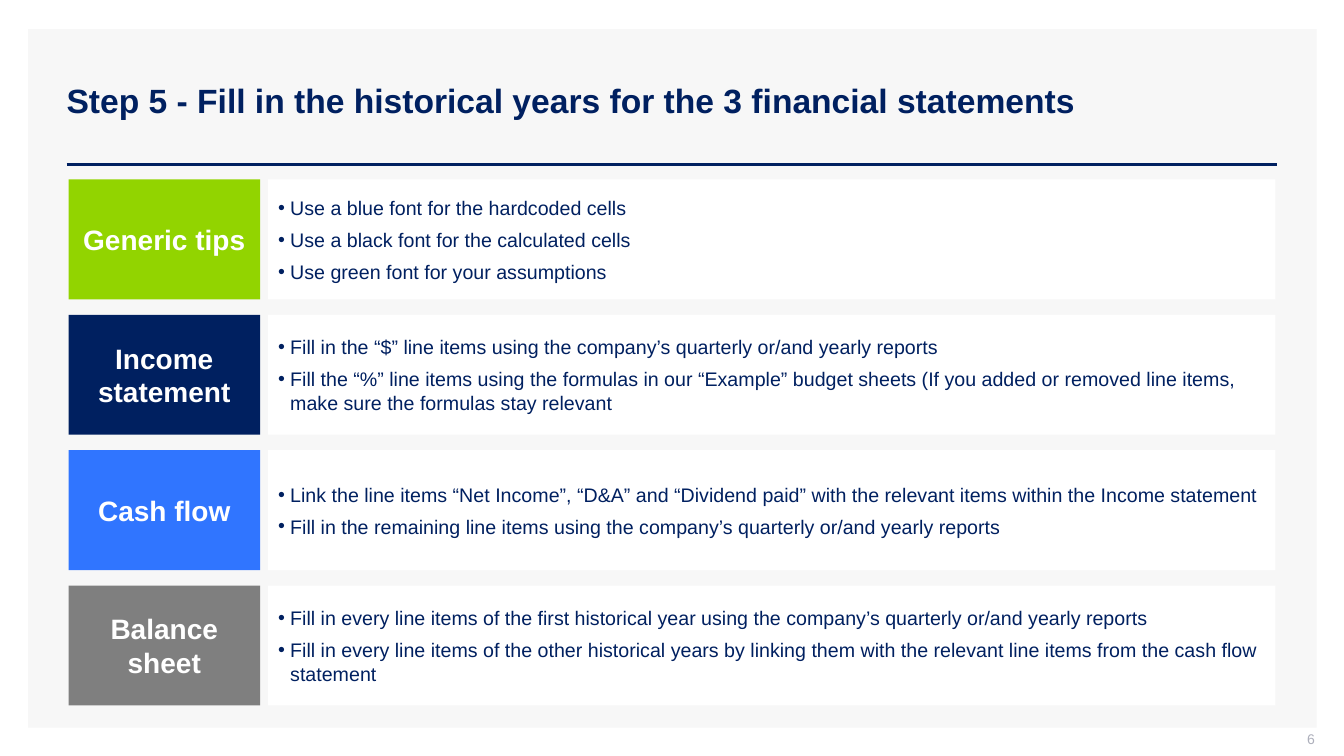
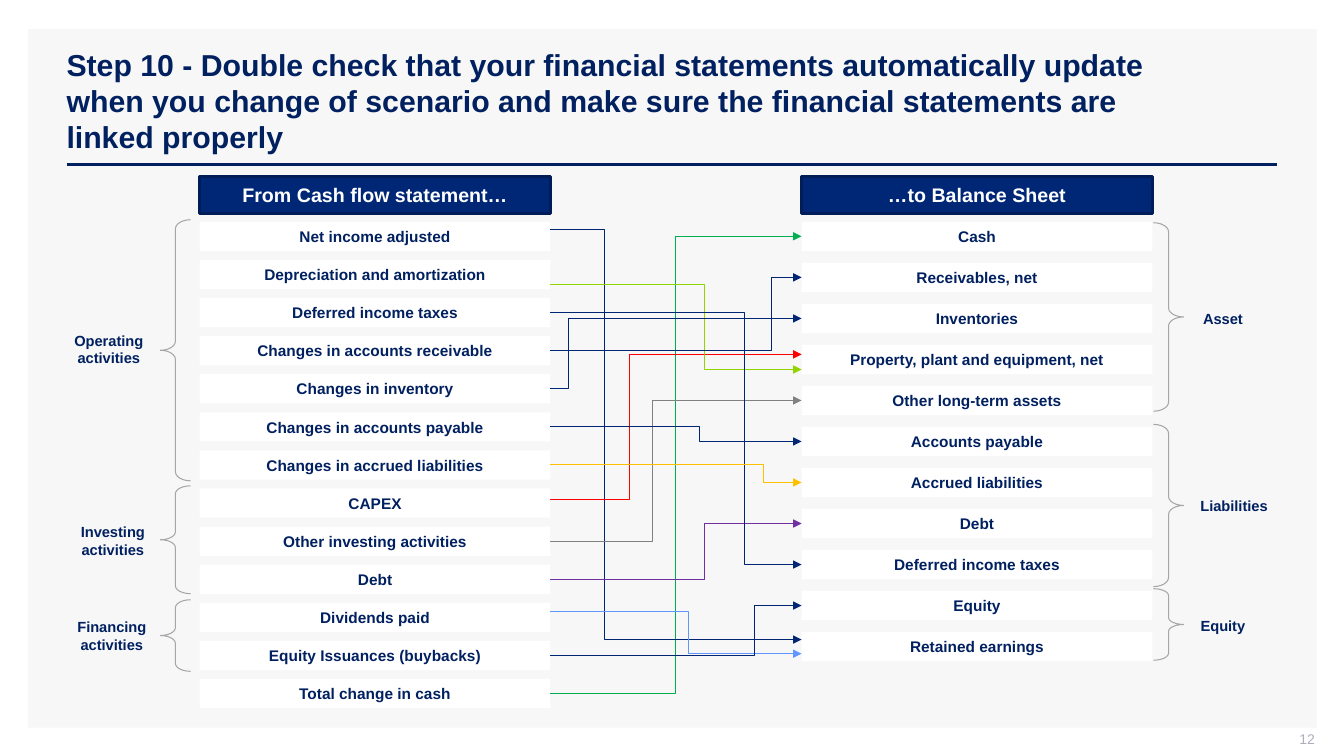
from dataclasses import dataclass
from typing import Optional
from lxml.etree import SubElement
from pptx import Presentation
from pptx.dml.color import RGBColor
from pptx.enum.shapes import MSO_CONNECTOR as Conn, MSO_SHAPE as Kind
from pptx.enum.text import MSO_ANCHOR as Anchor, MSO_AUTO_SIZE as Fit, PP_ALIGN as Align
from pptx.oxml.ns import qn
from pptx.util import Inches, Pt

NAVY = RGBColor(0x00, 0x20, 0x60)
DEEP = RGBColor(0x00, 0x27, 0x76)
EDGE = RGBColor(0x00, 0x1D, 0x57)
INK = RGBColor(0x00, 0x26, 0x73)
WHITE = RGBColor(0xFF, 0xFF, 0xFF)
PALE = RGBColor(0xF7, 0xF7, 0xF7)
MIST = RGBColor(0xAD, 0xAF, 0xBB)
SILVER = RGBColor(0xA6, 0xA6, 0xA6)
GRAY = RGBColor(0x7F, 0x7F, 0x7F)
STEEL = RGBColor(0x80, 0x80, 0x80)
LIME = RGBColor(0x92, 0xD4, 0x00)
BLUE = RGBColor(0x30, 0x75, 0xFF)
SKY = RGBColor(0x62, 0x96, 0xFF)
GREEN = RGBColor(0x00, 0xB0, 0x50)
PURPLE = RGBColor(0x70, 0x30, 0xA0)
RED = RGBColor(0xFF, 0x00, 0x00)
GOLD = RGBColor(0xFF, 0xC0, 0x00)
FONT = "Arial"

ROW_TOP, ROW_H, ROW_W = 2.2, 0.29, 3.48


@dataclass
class Topic:
    """A coloured heading with its list of tips."""
    name: str
    fill: RGBColor
    tips: list[str]


@dataclass
class Column:
    """A headed stack of line items."""
    head: str
    left: float
    step: float
    items: list[str]

    def mid(self, row: int) -> float:
        """Return the middle height of a row."""
        return ROW_TOP + ROW_H / 2 + row * self.step


@dataclass
class Group:
    """A brace over some rows, with its label."""
    name: str
    kind: Kind
    left: float
    top: float
    high: float
    curve: float
    text_x: float
    text_y: float


@dataclass
class Link:
    """An elbow arrow from a cash flow row to a balance row."""
    src: int
    dst: int
    bend: float
    color: RGBColor = INK
    out: float = 0
    into: float = 0


TOPICS = [
    Topic("Generic tips", LIME, [
        "Use a blue font for the hardcoded cells",
        "Use a black font for the calculated cells",
        "Use green font for your assumptions"]),
    Topic("Income statement", NAVY, [
        "Fill in the “$” line items using the company’s quarterly or/and yearly reports",
        "Fill the “%” line items using the formulas in our “Example” budget sheets "
        "(If you added or removed line items, make sure the formulas stay relevant"]),
    Topic("Cash flow", BLUE, [
        "Link the line items “Net Income”, “D&A” and “Dividend paid” with the relevant "
        "items within the Income statement",
        "Fill in the remaining line items using the company’s quarterly or/and yearly reports"]),
    Topic("Balance sheet", GRAY, [
        "Fill in every line items of the first historical year using the company’s "
        "quarterly or/and yearly reports",
        "Fill in every line items of the other historical years by linking them with the "
        "relevant line items from the cash flow statement"]),
]

CASH = Column("From Cash flow statement…", 1.98, 0.378, [
    "Net income adjusted", "Depreciation and amortization", "Deferred income taxes",
    "Changes in accounts receivable", "Changes in inventory", "Changes in accounts payable",
    "Changes in accrued liabilities", "CAPEX", "Other investing activities", "Debt",
    "Dividends paid", "Equity Issuances (buybacks)", "Total change in cash"])
SHEET = Column("…to Balance Sheet", 7.95, 0.407, [
    "Cash", "Receivables, net", "Inventories", "Property, plant and equipment, net",
    "Other long-term assets", "Accounts payable", "Accrued liabilities", "Debt",
    "Deferred income taxes", "Equity", "Retained earnings"])

GROUPS = [
    Group("Operating activities", Kind.LEFT_BRACE, 1.59, 2.18, 2.59, 0.3, 0.48, 3.24),
    Group("Investing activities", Kind.LEFT_BRACE, 1.59, 4.82, 1.07, 0.26, 0.52, 5.14),
    Group("Financing activities", Kind.LEFT_BRACE, 1.59, 5.95, 0.71, 0.26, 0.51, 6.08),
    Group("Asset", Kind.RIGHT_BRACE, 11.44, 2.21, 1.87, 0.3, 11.53, 3.02),
    Group("Liabilities", Kind.RIGHT_BRACE, 11.44, 4.21, 1.61, 0.3, 11.64, 4.88),
    Group("Equity", Kind.RIGHT_BRACE, 11.44, 5.84, 0.71, 0.23, 11.53, 6.07),
]

LINKS = [
    Link(12, 0, 6.7, GREEN),
    Link(0, 10, 6, out=-0.07, into=-0.07),
    Link(10, 10, 6.83, SKY, out=-0.06, into=0.07),
    Link(11, 9, 7.48),
    Link(9, 7, 6.99, PURPLE),
    Link(7, 3, 6.24, RED, out=-0.04, into=-0.05),
    Link(8, 4, 6.47, STEEL),
    Link(1, 3, 6.99, LIME, out=0.1, into=0.1),
    Link(2, 8, 7.38),
    Link(3, 1, 7.65),
    Link(4, 2, 5.64),
    Link(5, 5, 6.94),
    Link(6, 6, 7.57, GOLD),
]


def style(para, size: float, color: RGBColor, bold: bool = False, align=Align.LEFT) -> None:
    """Set the font and alignment of a paragraph."""
    para.alignment = align
    font = para.font
    font.name, font.size, font.bold = FONT, Pt(size), bold
    font.color.rgb = color


def shape(slide, kind: Kind, x: float, y: float, w: float, h: float,
          fill: Optional[RGBColor] = None, line: Optional[RGBColor] = None, width: float = 1):
    """Add a flat preset shape."""
    item = slide.shapes.add_shape(kind, Inches(x), Inches(y), Inches(w), Inches(h))
    item.shadow.inherit = False
    if fill is None:
        item.fill.background()
    else:
        item.fill.solid()
        item.fill.fore_color.rgb = fill
    if line is None:
        item.line.fill.background()
    else:
        item.line.color.rgb = line
        item.line.width = Pt(width)
    return item


def box(slide, text: str, x: float, y: float, w: float, h: float, fill: RGBColor,
        size: float, color: RGBColor = WHITE, line: Optional[RGBColor] = None) -> None:
    """Add a filled box with bold centred text."""
    frame = shape(slide, Kind.RECTANGLE, x, y, w, h, fill, line, 2).text_frame
    frame.vertical_anchor = Anchor.MIDDLE
    frame.text = text
    style(frame.paragraphs[0], size, color, True, Align.CENTER)


def label(slide, text: str, x: float, y: float, w: float, h: float):
    """Add a wrapping text box and return its frame."""
    frame = slide.shapes.add_textbox(Inches(x), Inches(y), Inches(w), Inches(h)).text_frame
    frame.word_wrap = True
    frame.text = text
    return frame


def wire(slide, x1: float, y1: float, x2: float, y2: float, color: RGBColor,
         width: float, kind=Conn.STRAIGHT):
    """Add a connector without a shadow."""
    line = slide.shapes.add_connector(kind, Inches(x1), Inches(y1), Inches(x2), Inches(y2))
    line.line.color.rgb = color
    line.line.width = Pt(width)
    SubElement(line._element.spPr, qn("a:effectLst"))
    return line


def arrow(slide, link: Link) -> None:
    """Draw one link as an elbow arrow."""
    x1, x2 = CASH.left + ROW_W, SHEET.left
    y1, y2 = CASH.mid(link.src) + link.out, SHEET.mid(link.dst) + link.into
    line = wire(slide, x1, y1, x2, y2, link.color, 0.75, Conn.ELBOW)
    geom = line._element.spPr.find(qn("a:prstGeom"))
    av = geom.find(qn("a:avLst"))
    if av is None:
        av = SubElement(geom, qn("a:avLst"))
    ratio = round((link.bend - x1) / (x2 - x1) * 100000)
    SubElement(av, qn("a:gd"), name="adj1", fmla=f"val {ratio}")
    SubElement(line.line._get_or_add_ln(), qn("a:tailEnd"), type="triangle")


def bullets(slide, tips: list[str], x: float, y: float, w: float, h: float) -> None:
    """Add a white box with a bullet list."""
    frame = shape(slide, Kind.RECTANGLE, x, y, w, h, WHITE).text_frame
    frame.vertical_anchor = Anchor.MIDDLE
    frame.text = "\n".join(tips)
    for para in frame.paragraphs:
        para.space_before = para.space_after = Pt(3)
        props = para._p.get_or_add_pPr()
        props.set("marL", str(Inches(0.12)))
        props.set("indent", str(-Inches(0.12)))
        SubElement(props, qn("a:buFont"), typeface=FONT)
        SubElement(props, qn("a:buChar"), char="•")
        style(para, 14, NAVY)


def page(deck, title: str, size: float, number: int):
    """Add a slide with the shared panel, rule, title and number."""
    slide = deck.slides.add_slide(deck.slide_layouts[5])
    shape(slide, Kind.RECTANGLE, 0.28, 0.29, 12.78, 6.93, PALE)
    wire(slide, 0.66, 1.63, 12.67, 1.63, NAVY, 2)
    head = slide.shapes.title
    head.left, head.top, head.width, head.height = map(Inches, (0.56, 0.4, 12.11, 1.19))
    slide.shapes._spTree.append(head._element)
    frame = head.text_frame
    frame.auto_size = Fit.NONE
    frame.vertical_anchor = Anchor.MIDDLE
    frame.text = title
    style(frame.paragraphs[0], size, NAVY, True)
    foot = label(slide, str(number), 10.04, 7.25, 3, 0.21)
    foot.vertical_anchor = Anchor.MIDDLE
    foot.margin_top = foot.margin_right = 0
    style(foot.paragraphs[0], 10, MIST, align=Align.RIGHT)
    return slide


def tips(deck) -> None:
    """Build the slide of tips by statement."""
    slide = page(deck, "Step 5 - Fill in the historical years for the 3 financial statements", 24, 6)
    for row, topic in enumerate(TOPICS):
        top = 1.78 + row * 1.343
        box(slide, topic.name, 0.68, top, 1.9, 1.19, topic.fill, 20)
        bullets(slide, topic.tips, 2.66, top, 9.99, 1.19)


def flows(deck) -> None:
    """Build the slide that links cash flow to balance sheet."""
    slide = page(deck, "Step 10 - Double check that your financial statements automatically update \v"
                 "when you change of scenario and make sure the financial statements are \v"
                 "linked properly", 21.6, 12)
    for col in (CASH, SHEET):
        box(slide, col.head, col.left, 1.75, ROW_W, 0.37, DEEP, 14, line=EDGE)
        for row, item in enumerate(col.items):
            box(slide, item, col.left, ROW_TOP + row * col.step, ROW_W, ROW_H, WHITE, 11, NAVY)
    for group in GROUPS:
        brace = shape(slide, group.kind, group.left, group.top, 0.3, group.high, None, SILVER, 0.75)
        brace.adjustments[0] = group.curve
        high = 0.45 if group.kind == Kind.LEFT_BRACE else 0.28
        frame = label(slide, group.name, group.text_x, group.text_y, 1.2, high)
        style(frame.paragraphs[0], 10.5, NAVY, True, Align.CENTER)
    for link in LINKS:
        arrow(slide, link)


def main() -> None:
    """Build and save the deck."""
    deck = Presentation()
    deck.slide_width, deck.slide_height = Inches(13.33), Inches(7.5)
    tips(deck)
    flows(deck)
    deck.save("out.pptx")


if __name__ == "__main__":
    main()
